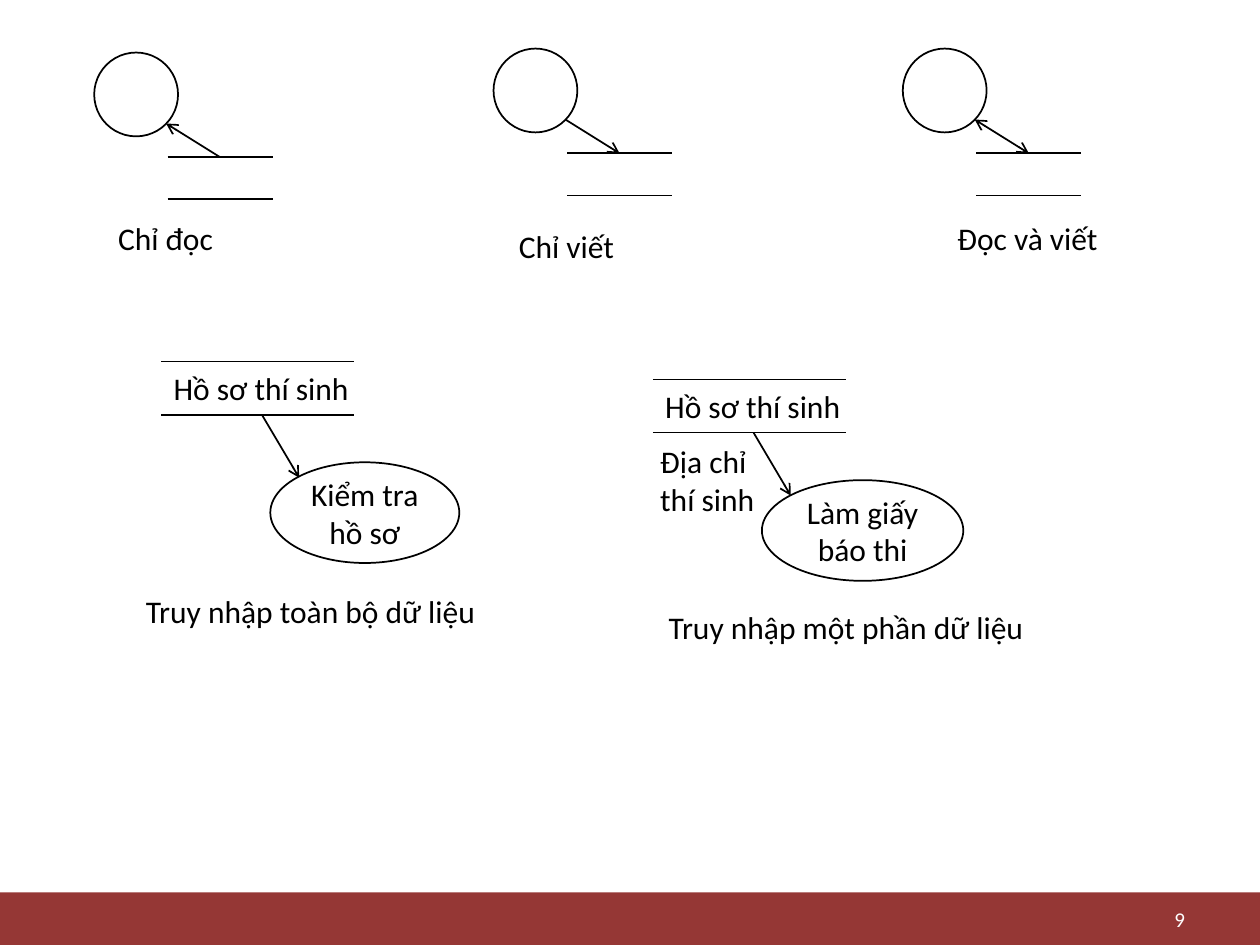
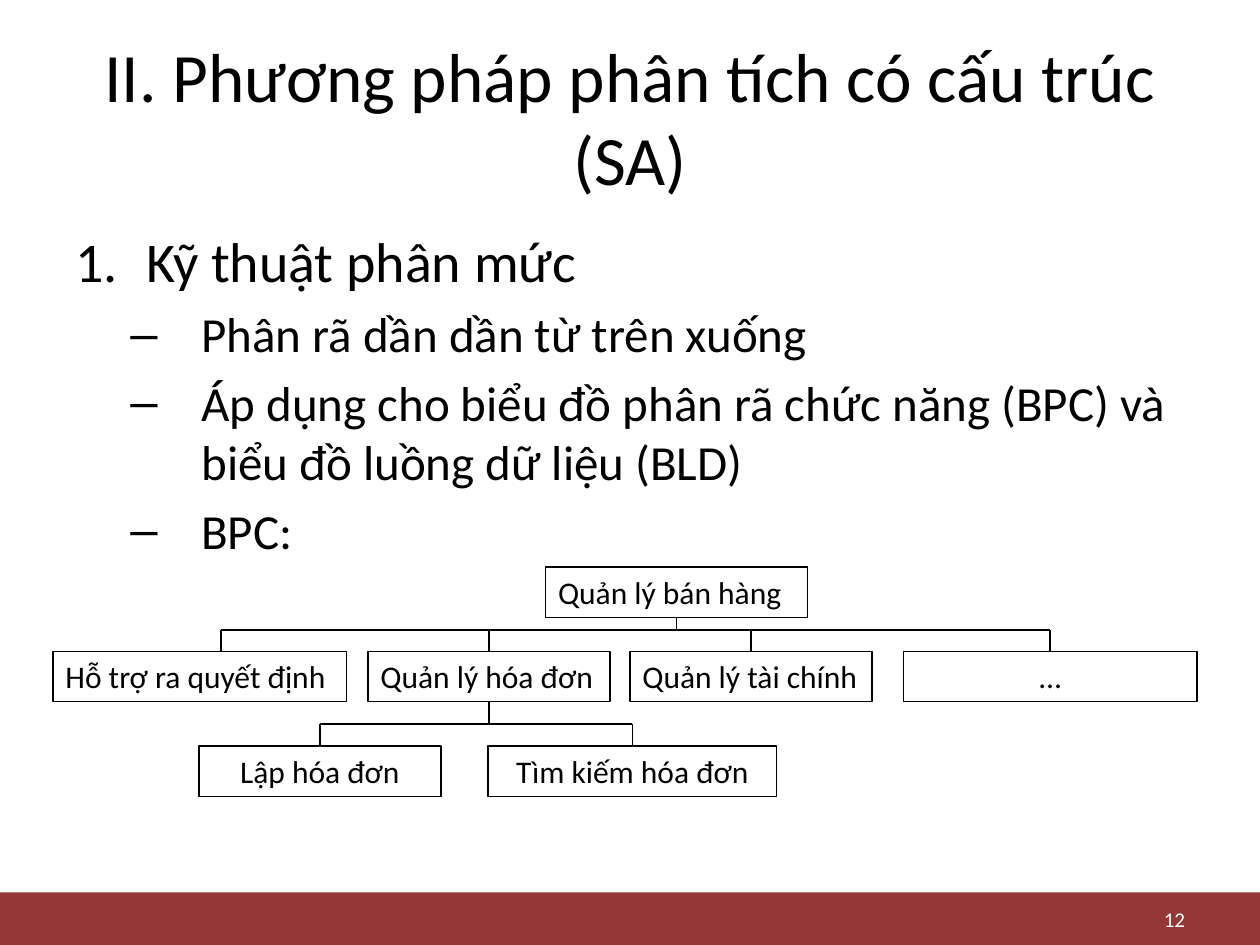
from lxml import etree
from pptx import Presentation
from pptx import util as u
from pptx.dml import color
from pptx.enum import shapes, text
from pptx.oxml import ns

COLOURS = {"ink": "000000", "band": "953735", "paper": "FFFFFF"}
FONT = "Calibri"
LABEL_SIZE = 18
LABEL_HEIGHT = 1.02
LEFT, CENTRE, RIGHT = text.PP_ALIGN.LEFT, text.PP_ALIGN.CENTER, text.PP_ALIGN.RIGHT
TOP, MIDDLE = text.MSO_ANCHOR.TOP, text.MSO_ANCHOR.MIDDLE
FIT, FIXED = text.MSO_AUTO_SIZE.SHAPE_TO_FIT_TEXT, text.MSO_AUTO_SIZE.NONE
OVAL, RECT = shapes.MSO_SHAPE.OVAL, shapes.MSO_SHAPE.RECTANGLE


def rgb(name):
    """Return the colour stored under a name."""
    return color.RGBColor.from_string(COLOURS[name])


def apply_format(target, values):
    """Set each attribute of the target from a dict."""
    for key, value in values.items():
        setattr(target, key, value)


def add_child(parent, tag, **attributes):
    """Append a drawing element to an XML parent."""
    return etree.SubElement(parent, ns.qn(tag), attributes)


def write(shape, lines, size=LABEL_SIZE, ink="ink", align=LEFT, **frame_format):
    """Write one paragraph for each line into a shape."""
    frame = shape.text_frame
    apply_format(frame, {"word_wrap": True, "vertical_anchor": TOP, "auto_size": FIXED, **frame_format})
    for index, line in enumerate(lines):
        paragraph = frame.paragraphs[0] if index == 0 else frame.add_paragraph()
        paragraph.alignment = align
        run = paragraph.add_run()
        run.text = line
        apply_format(run.font, {"name": FONT, "size": u.Pt(size)})
        run.font.color.rgb = rgb(ink)
    return frame


def add_label(slide, left, top, width, *lines, height=LABEL_HEIGHT):
    """Place a caption that does not wrap."""
    label = slide.shapes.add_textbox(*map(u.Cm, (left, top, width, height)))
    write(label, lines, word_wrap=False, auto_size=FIT)


def add_outline(slide, kind, left, top, width, height, weight=1):
    """Draw an unfilled preset shape."""
    outline = slide.shapes.add_shape(kind, *map(u.Cm, (left, top, width, height)))
    outline.shadow.inherit = False
    outline.fill.background()
    outline.line.color.rgb = rgb("ink")
    outline.line.width = u.Pt(weight)
    return outline


def add_line(slide, start, end, *arrow_ends):
    """Draw a straight line with arrowheads at headEnd or tailEnd."""
    line = slide.shapes.add_connector(shapes.MSO_CONNECTOR.STRAIGHT, *map(u.Cm, (*start, *end)))
    line.line.color.rgb = rgb("ink")
    line.line.width = u.Pt(1)
    stroke = line.line._get_or_add_ln()
    for arrow_end in arrow_ends:
        add_child(stroke, f"a:{arrow_end}", type="arrow")
    add_child(line._element.spPr, "a:effectLst")


def add_store(slide, left, top, width, gap):
    """Draw a data store as two parallel lines."""
    for y in (top, top + gap):
        add_line(slide, (left, y), (left + width, y))


def add_access_mode(slide, left, top, *arrow_ends):
    """Draw a process linked to a data store."""
    store_top = top + 2.11
    add_outline(slide, OVAL, left, top, 1.69, 1.69)
    add_store(slide, left + 1.48, store_top, 2.12, 0.85)
    add_line(slide, (left + 2.54, store_top), (left + 1.45, top + 1.43), *arrow_ends)


def add_record_access(slide, left, top, process, process_width):
    """Draw the candidate file feeding a named process."""
    add_store(slide, left, top, 3.89, 1.07)
    add_label(slide, left, top + 0.02, 4.09, "Hồ sơ thí sinh")
    add_line(slide, (left + 2.03, top + 1.07), (left + 2.78, top + 2.34), "tailEnd")
    oval = add_outline(slide, OVAL, left + 2.2, top + 2.03, process_width, 2.03)
    write(oval, [process], align=CENTRE, vertical_anchor=MIDDLE)


def add_function(slide, left, top, width, name, align):
    """Draw a box of the function breakdown and return its centre."""
    box = add_outline(slide, RECT, left, top, width, LABEL_HEIGHT, 0.75)
    write(box, [name], align=align, auto_size=FIT)
    return left + width / 2


def add_branch(slide, stem, parent_top, bus, drops, child_top):
    """Join a parent box to its children through a horizontal bus."""
    add_line(slide, (stem, parent_top + LABEL_HEIGHT), (stem, bus))
    add_line(slide, (drops[0], bus), (drops[-1], bus))
    for drop in drops:
        add_line(slide, (drop, bus), (drop, child_top))


def add_title(slide, title):
    """Write the slide title."""
    box = slide.shapes.add_textbox(*map(u.Cm, (1.27, 0.76, 22.86, 3.18)))
    write(box, [title], 39.6, align=CENTRE, vertical_anchor=MIDDLE)


def add_outline_text(slide, heading, points):
    """Write a numbered heading followed by dashed points."""
    box = slide.shapes.add_textbox(*map(u.Cm, (1.27, 4.45, 22.86, 7.42)))
    frame = write(box, [heading, *points])
    for index, paragraph in enumerate(frame.paragraphs):
        size, margin = (28, 2.54) if index else (32, 1.43)
        paragraph.level = min(index, 1)
        paragraph.space_before = u.Pt(size * 0.2)
        paragraph.runs[0].font.size = u.Pt(size)
        properties = paragraph._p.get_or_add_pPr()
        properties.set("marL", str(u.Cm(margin)))
        properties.set("indent", str(-u.Cm(1.43)))
        if index:
            add_child(properties, "a:buFont", typeface="Arial")
            add_child(properties, "a:buChar", char="–")
        else:
            add_child(properties, "a:buFont", typeface=FONT)
            add_child(properties, "a:buAutoNum", type="arabicPeriod")


def add_slide(deck, number):
    """Add a blank slide with the footer band and page number."""
    slide = deck.slides.add_slide(deck.slide_layouts[6])
    band = slide.shapes.add_shape(RECT, *map(u.Cm, (0, 17.99, 25.4, 1.06)))
    band.shadow.inherit = False
    band.fill.solid()
    band.fill.fore_color.rgb = rgb("band")
    band.line.fill.background()
    page = slide.shapes.add_textbox(*map(u.Cm, (18.21, 18.2, 5.93, 0.64)))
    write(page, [str(number)], 12, "paper", RIGHT, vertical_anchor=MIDDLE)
    return slide


def build_access_slide(deck):
    """Show how processes read and write data stores."""
    slide = add_slide(deck, 9)
    add_access_mode(slide, 1.9, 1.06, "tailEnd")
    add_access_mode(slide, 9.95, 0.98, "headEnd")
    add_access_mode(slide, 18.2, 0.98, "headEnd", "tailEnd")
    add_record_access(slide, 3.25, 7.29, "Kiểm tra hồ sơ", 3.81)
    add_record_access(slide, 13.16, 7.65, "Làm giấy báo thi", 4.06)
    for left, top, width, caption in (
        (2.13, 4.29, 2.44, "Chỉ đọc"),
        (10.21, 4.45, 2.46, "Chỉ viết"),
        (19.05, 4.29, 3.38, "Đọc và viết"),
        (2.69, 11.81, 7.24, "Truy nhập toàn bộ dữ liệu"),
        (13.23, 12.14, 7.75, "Truy nhập một phần dữ liệu"),
    ):
        add_label(slide, left, top, width, caption)
    add_label(slide, 13.06, 8.79, 2.44, "Địa chỉ", "thí sinh", height=1.8)


def build_breakdown_slide(deck):
    """Show the levelling technique and its function breakdown."""
    slide = add_slide(deck, 12)
    add_title(slide, "II. Phương pháp phân tích có cấu trúc (SA)")
    add_outline_text(slide, "Kỹ thuật phân mức", [
        "Phân rã dần dần từ trên xuống",
        "Áp dụng cho biểu đồ phân rã chức năng (BPC) và biểu đồ luồng dữ liệu (BLD)",
        "BPC:",
    ])
    root_top, area_top, task_top = 11.43, 13.13, 15.04
    root = add_function(slide, 11, root_top, 5.28, "Quản lý bán hàng", LEFT)
    add_function(slide, 1.07, area_top, 5.92, "Hỗ trợ ra quyết định", LEFT)
    invoices = add_function(slide, 7.42, area_top, 4.88, "Quản lý hóa đơn", LEFT)
    finance = add_function(slide, 12.7, area_top, 4.88, "Quản lý tài chính", LEFT)
    others = add_function(slide, 18.21, area_top, 5.92, "…", CENTRE)
    issuing = add_function(slide, 4.01, task_top, 4.88, "Lập hóa đơn", CENTRE)
    searching = add_function(slide, 9.84, task_top, 5.82, "Tìm kiếm hóa đơn", CENTRE)
    add_branch(slide, root, root_top, 12.7, [4.45, invoices, finance, others], area_top)
    add_branch(slide, invoices, area_top, 14.6, [issuing, searching], task_top)


def main():
    """Build and save the deck."""
    deck = Presentation()
    apply_format(deck, {"slide_width": u.Cm(25.4), "slide_height": u.Cm(19.05)})
    build_access_slide(deck)
    build_breakdown_slide(deck)
    deck.save("out.pptx")


if __name__ == "__main__":
    main()
